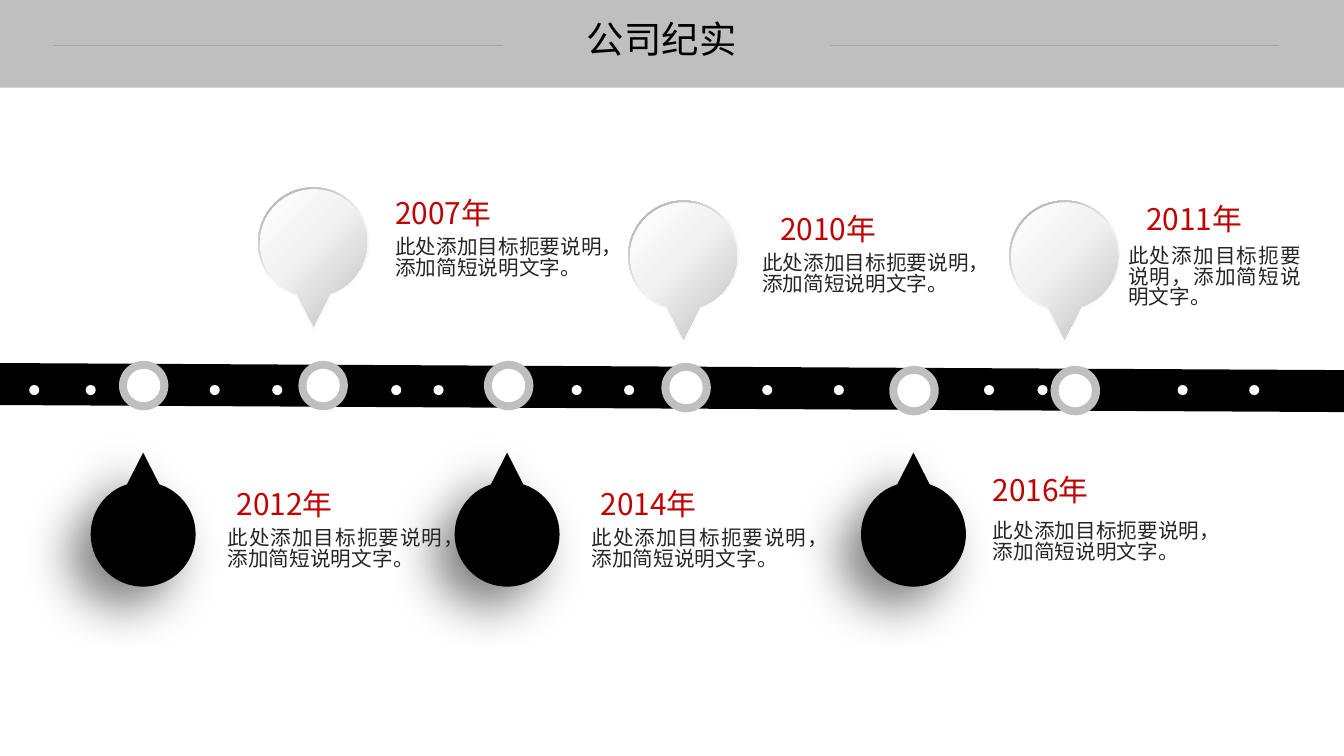
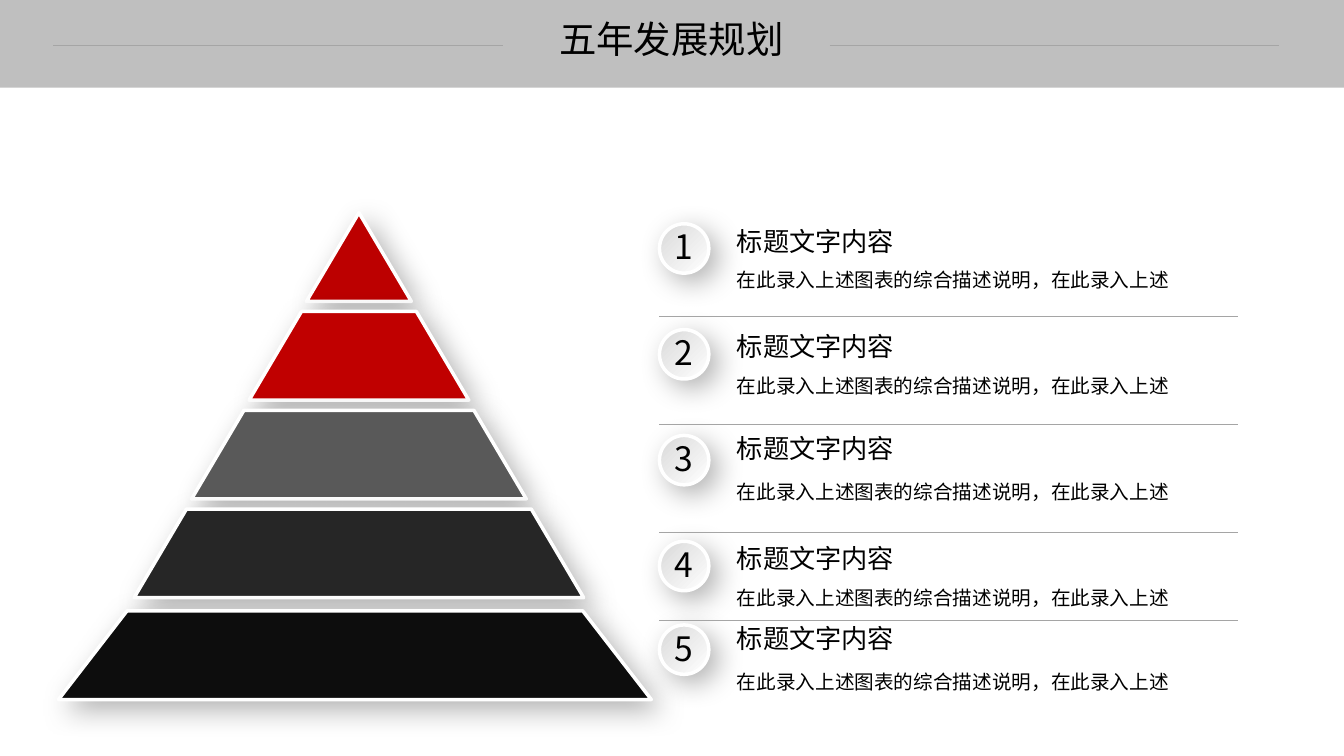
import math
from dataclasses import dataclass

import pptx
import pptx.dml.color
import pptx.enum.shapes
import pptx.enum.text
import pptx.oxml.ns
import pptx.util
from lxml import etree

PX = 9144
SHAPE = pptx.enum.shapes.MSO_SHAPE
ALIGN = pptx.enum.text.PP_ALIGN
ANCHOR = pptx.enum.text.MSO_ANCHOR
qn = pptx.oxml.ns.qn


@dataclass(frozen=True)
class Style:
    size: float
    color: str
    spacing: float = 0.9


@dataclass(frozen=True)
class Shadow:
    alpha: int
    blur: int
    dist: int
    angle: int


@dataclass(frozen=True)
class Theme:
    font: str = "Noto Sans CJK SC"
    white: str = "FFFFFF"
    black: str = "000000"
    band: str = "BFBFBF"
    rule: str = "A5A5A5"
    tiers: tuple = ("BC0000", "C00000", "595959", "262626", "0D0D0D")
    rim: tuple = ((0, "FFFFFF"), (55, "F2F2F2"), (100, "A6A6A6"))
    face: tuple = ((0, "FFFFFF"), (43, "F2F2F2"), (100, "BFBFBF"))
    badge: tuple = ((0, "D9D9D9"), (100, "FFFFFF"))
    border: float = 2.5
    hairline: float = 0.75
    pin_shadow: Shadow = Shadow(50, 35, 20, 135)
    soft_shadow: Shadow = Shadow(30, 20, 8, 45)
    title: Style = Style(26.7, "000000")
    year: Style = Style(21.3, "C00000")
    note: Style = Style(14.7, "262626", 0.84)
    number: Style = Style(24, "000000", 0.95)
    heading: Style = Style(18.7, "000000")
    body: Style = Style(14, "000000")


T = Theme()

DOTS = (29, 85, 208, 270, 388, 430, 567, 619, 756, 827, 976, 1029, 1168, 1239)
RINGS = ((118, 358), (296, 358), (480, 358), (656, 360), (882, 363), (1042, 363))
WHITE_PINS = ((311, 241), (678, 254), (1056, 254))
BLACK_PINS = ((142, 530), (503, 530), (906, 530))
NECK = 18
NOTE_LINES = ("此处添加目标扼要说明，", "添加简短说明文字。")
NOTE_WHOLE = ("".join(NOTE_LINES),)
EVENTS = (
    ("2007年", (382, 192), (382, 231, 253, 59), NOTE_LINES),
    ("2010年", (764, 208), (746, 247, 253, 59), NOTE_LINES),
    ("2011年", (1127, 198), (1109, 240, 191, 84), NOTE_WHOLE),
    ("2012年", (225, 481), (216, 520, 254, 59), NOTE_WHOLE),
    ("2014年", (586, 481), (577, 520, 254, 59), NOTE_WHOLE),
    ("2016年", (975, 467), (975, 513, 253, 59), NOTE_LINES),
)
PLAN_ROWS = ((222, 222), (327, 326), (432, 428), (537, 537), (620, 616))
PLAN_RULES = (314, 421, 528, 616)


def rgb(color):
    return pptx.dml.color.RGBColor.from_string(color)


def emu(*lengths):
    return [round(length * PX) for length in lengths]


def add_shadow(sp, shadow):
    effects = sp._element.spPr.find(qn("a:effectLst"))
    outer = etree.SubElement(
        effects, qn("a:outerShdw"),
        blurRad=str(pptx.util.Pt(shadow.blur)), dist=str(pptx.util.Pt(shadow.dist)),
        dir=str(shadow.angle * 60000), algn="ctr", rotWithShape="0")
    color = etree.SubElement(outer, qn("a:srgbClr"), val=T.black)
    etree.SubElement(color, qn("a:alpha"), val=str(shadow.alpha * 1000))


def set_gradient(sp, stops, angle):
    sp.fill.gradient()
    sp.fill.gradient_angle = 360 - angle
    gs_list = sp._element.spPr.find(".//" + qn("a:gsLst"))
    for gs in list(gs_list):
        gs_list.remove(gs)
    for pos, color in stops:
        gs = etree.SubElement(gs_list, qn("a:gs"), pos=str(pos * 1000))
        etree.SubElement(gs, qn("a:srgbClr"), val=color)


def paint(sp, fill, angle=45, border=None, shadow=None):
    sp.shadow.inherit = False
    if isinstance(fill, str):
        sp.fill.solid()
        sp.fill.fore_color.rgb = rgb(fill)
    else:
        set_gradient(sp, fill, angle)
    if border:
        sp.line.color.rgb = rgb(border)
        sp.line.width = pptx.util.Pt(T.border)
    else:
        sp.line.fill.background()
    if shadow:
        add_shadow(sp, shadow)
    return sp


def add_preset(s, kind, box, fill, **look):
    return paint(s.shapes.add_shape(kind, *emu(*box)), fill, **look)


def add_outline(s, points, fill, **look):
    points = [emu(*point) for point in points]
    builder = s.shapes.build_freeform(*points[0], scale=1.0)
    builder.add_line_segments(points[1:], close=True)
    return paint(builder.convert_to_shape(), fill, **look)


def add_line(s, start, end, color, width):
    line = s.shapes.add_connector(
        pptx.enum.shapes.MSO_CONNECTOR.STRAIGHT, *emu(*start, *end))
    line.line.color.rgb = rgb(color)
    line.line.width = pptx.util.Pt(width)
    etree.SubElement(line._element.spPr, qn("a:effectLst"))


def write(tf, lines, style, align):
    for i, text in enumerate(lines):
        p = tf.add_paragraph() if i else tf.paragraphs[0]
        p.alignment = align
        p.line_spacing = style.spacing
        r = p.add_run()
        r.text = text
        r.font.size = pptx.util.Pt(style.size)
        r.font.name = T.font
        r.font.color.rgb = rgb(style.color)
        etree.SubElement(r._r.rPr, qn("a:ea"), typeface=T.font)


def add_text(s, box, lines, style, align=ALIGN.LEFT):
    tf = s.shapes.add_textbox(*emu(*box)).text_frame
    tf.word_wrap = True
    write(tf, lines, style, align)


def add_framed_slide(prs, title, title_width):
    s = prs.slides.add_slide(prs.slide_layouts[6])
    add_preset(s, SHAPE.RECTANGLE, (0, 0, 1333, 87), T.band)
    add_text(s, (541, 16, title_width, 55), (title,), T.title, ALIGN.CENTER)
    for x in (53, 823):
        add_line(s, (x, 45), (x + 446, 45), T.rule, T.hairline)
    return s


def round_off(sp, radius, start):
    corners = list(sp._element.iter(qn("a:lnTo")))
    for corner in corners[1:]:
        corner.getparent().remove(corner)
    size = str(radius * PX)
    arc = etree.Element(
        qn("a:arcTo"), wR=size, hR=size, stAng=str(start % 360 * 60000),
        swAng=str((360 - 2 * NECK) * 60000))
    corners[0].addnext(arc)


def add_pin(s, center, radius, reach, fill, **look):
    cx, cy = center
    start = NECK + (90 if reach > 0 else 270)
    points = [(cx, cy + reach)]
    for degrees in (start, 0, 90, 180, 270):
        a = math.radians(degrees)
        points.append((cx + radius * math.cos(a), cy + radius * math.sin(a)))
    round_off(add_outline(s, points, fill, **look), radius, start)


def add_ring(s, x, y):
    add_preset(s, SHAPE.OVAL, (x, y, 49, 49), T.band)
    add_preset(s, SHAPE.OVAL, (x + 8, y + 8, 33, 33), T.white)


def add_event(s, year, year_at, note_box, lines):
    add_text(s, (*year_at, 213, 46), (year,), T.year)
    add_text(s, note_box, lines, T.note, ALIGN.JUSTIFY)


def add_tier(s, cx, top, half_top, half_bottom, color):
    bottom = top + 88
    upper = [(cx - half_top, top)]
    if half_top:
        upper.append((cx + half_top, top))
    points = upper + [(cx + half_bottom, bottom), (cx - half_bottom, bottom)]
    add_outline(s, points, color, border=T.white, shadow=T.soft_shadow)


def add_plan_row(s, number, top, heading_top):
    badge = add_preset(s, SHAPE.OVAL, (654, top, 49, 49), T.badge,
                       border=T.white, shadow=T.soft_shadow)
    tf = badge.text_frame
    tf.word_wrap = False
    tf.vertical_anchor = ANCHOR.MIDDLE
    tf.margin_left = tf.margin_right = tf.margin_top = tf.margin_bottom = 0
    write(tf, (str(number),), T.number, ALIGN.CENTER)
    add_text(s, (721, heading_top, 249, 42), ("标题文字内容",), T.heading)
    add_text(s, (721, top + 42, 507, 34),
             ("在此录入上述图表的综合描述说明，在此录入上述",), T.body)


def build_timeline(prs):
    s = add_framed_slide(prs, "公司纪实", 231)
    add_line(s, (0, 381), (1333, 388), T.black, 30)
    for x in DOTS:
        add_preset(s, SHAPE.OVAL, (x, 382, 10, 10), T.white)
    for x, y in RINGS:
        add_ring(s, x, y)
    for center in WHITE_PINS:
        add_pin(s, center, 55, 89, T.rim, angle=235)
        add_pin(s, center, 53, 83, T.face)
    for center in BLACK_PINS:
        add_pin(s, center, 52, -81, T.black, shadow=T.pin_shadow)
    for event in EVENTS:
        add_event(s, *event)


def build_plan(prs):
    s = add_framed_slide(prs, "五年发展规划", 250)
    for i, color in enumerate(T.tiers[:-1]):
        add_tier(s, 356, 211 + 98 * i, 57 * i, 57 * i + 52, color)
    add_tier(s, 352, 606, 226, 294, T.tiers[-1])
    for number, (top, heading_top) in enumerate(PLAN_ROWS, 1):
        add_plan_row(s, number, top, heading_top)
    for y in PLAN_RULES:
        add_line(s, (654, y), (1228, y), T.rule, T.hairline)


def main():
    prs = pptx.Presentation()
    prs.slide_width, prs.slide_height = emu(1333, 750)
    build_timeline(prs)
    build_plan(prs)
    prs.save("out.pptx")


if __name__ == "__main__":
    main()
